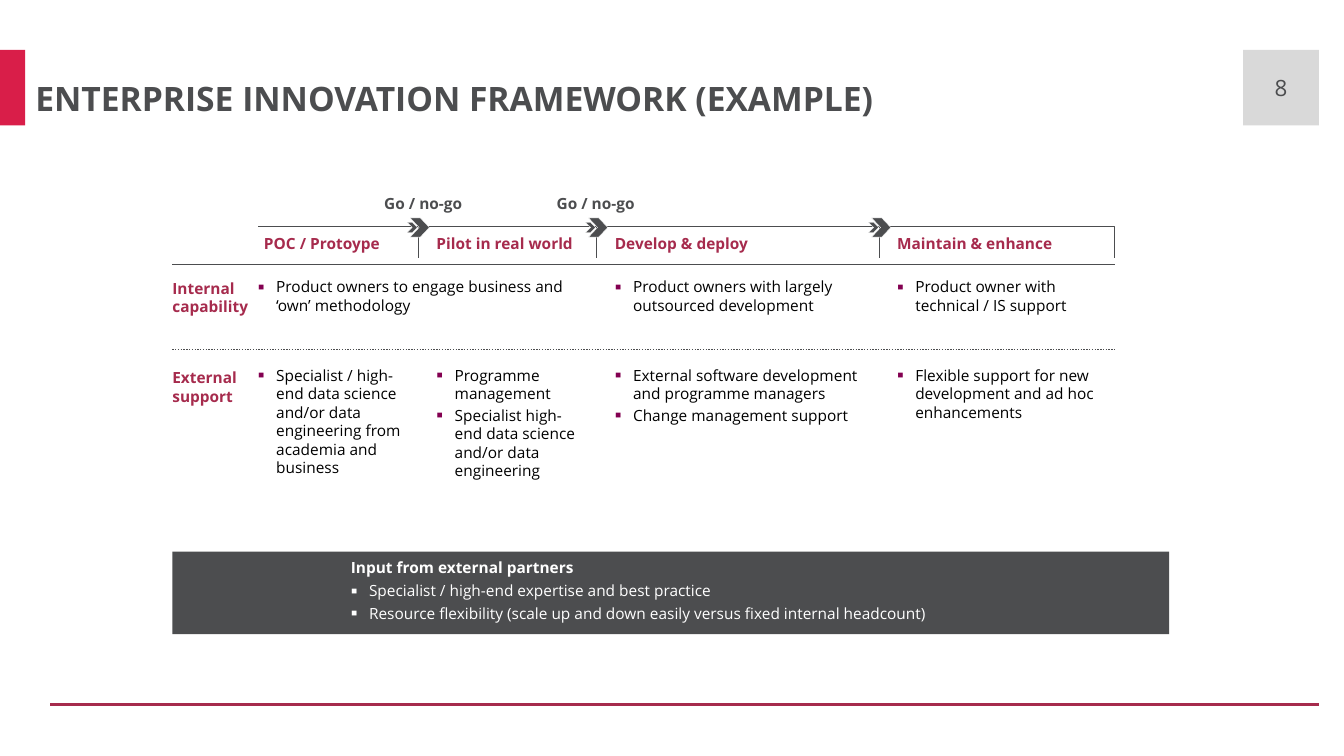
from collections import namedtuple

from lxml.etree import SubElement
from pptx import Presentation
from pptx.dml.color import RGBColor
from pptx.enum.dml import MSO_LINE
from pptx.enum.shapes import MSO_CONNECTOR, MSO_SHAPE
from pptx.enum.text import MSO_ANCHOR as Anchor, MSO_AUTO_SIZE, PP_ALIGN as Align
from pptx.oxml.ns import qn
from pptx.util import Pt

FONT = "Open Sans"
BLACK = RGBColor(0x00, 0x00, 0x00)
WHITE = RGBColor(0xFF, 0xFF, 0xFF)
DARK = RGBColor(0x4C, 0x4D, 0x4F)
GREY = RGBColor(0xD9, 0xD9, 0xD9)
RED = RGBColor(0xD9, 0x1E, 0x49)
CRIMSON = RGBColor(0xA6, 0x2B, 0x4D)
PURPLE = RGBColor(0x83, 0x00, 0x51)

TABLE_LEFT, TABLE_RIGHT = 123.1, 796.3
STAGE_TOP, STAGE_BOTTOM = 162, 184.3
HEADER_TOP, INTERNAL_TOP, EXTERNAL_TOP = 167, 198, 261.4
INDENT = 13

Stage = namedtuple("Stage", "name left right text_left text_width header_left")
POC = Stage("POC / Protoype", 184.3, 298.8, 184.3, 103, 188.6)
PILOT = Stage("Pilot in real world", 304.6, 426.2, 311.8, 103, 311.8)
DEVELOP = Stage("Develop & deploy", 432, 628.4, 439.2, 177.8, 439.2)
MAINTAIN = Stage("Maintain & enhance", 633, 796.3, 640.8, 154.8, 640.8)
STAGES = [POC, PILOT, DEVELOP, MAINTAIN]

INTERNAL = [
    (POC, 221, ["Product owners to engage business and ‘own’ methodology"]),
    (DEVELOP, DEVELOP.text_width, ["Product owners with largely outsourced development"]),
    (MAINTAIN, MAINTAIN.text_width, ["Product owner with technical / IS support"]),
]
EXTERNAL = [
    (POC, ["Specialist / high-end data science and/or data engineering from academia and business"]),
    (PILOT, ["Programme management",
             "Specialist high-end data science and/or data engineering"]),
    (DEVELOP, ["External software development and programme managers",
               "Change management support"]),
    (MAINTAIN, ["Flexible support for new development and ad hoc enhancements"]),
]
PARTNER_INPUT = [
    "Specialist / high-end expertise and best practice",
    "Resource flexibility (scale up and down easily versus fixed internal headcount)",
]


def set_font(para, color, size=11, bold=False):
    font = para.font
    font.name, font.size, font.bold = FONT, Pt(size), bold
    font.color.rgb = color


def add_bullet(para, color):
    props = para._p.get_or_add_pPr()
    props.set("marL", str(Pt(INDENT)))
    props.set("indent", str(-Pt(INDENT)))
    bullet_color = SubElement(props, qn("a:buClr"))
    SubElement(bullet_color, qn("a:srgbClr"), val=str(color))
    SubElement(props, qn("a:buSzPct"), val="125000")
    SubElement(props, qn("a:buFont"), typeface="Arial")
    SubElement(props, qn("a:buChar"), char="▪")


def add_shape(page, kind, left, top, width, height, fill):
    shape = page.shapes.add_shape(kind, Pt(left), Pt(top), Pt(width), Pt(height))
    shape.shadow.inherit = False
    shape.fill.solid()
    shape.fill.fore_color.rgb = fill
    shape.line.fill.background()
    return shape


def add_rule(page, left, right, y, color, weight):
    rule = page.shapes.add_connector(MSO_CONNECTOR.STRAIGHT, Pt(left), Pt(y), Pt(right), Pt(y))
    rule.line.color.rgb = color
    rule.line.width = Pt(weight)
    SubElement(rule._element.spPr, qn("a:effectLst"))
    return rule


def add_text_box(page, left, top, width, height, anchor=Anchor.TOP):
    box = page.shapes.add_textbox(Pt(left), Pt(top), Pt(width), Pt(height))
    frame = box.text_frame
    frame.word_wrap = True
    frame.vertical_anchor = anchor
    frame.margin_left = frame.margin_top = frame.margin_right = frame.margin_bottom = 0
    return frame


def add_label(page, text, left, top, width, height, color, anchor=Anchor.MIDDLE, align=Align.LEFT):
    frame = add_text_box(page, left, top, width, height, anchor)
    para = frame.paragraphs[0]
    para.text, para.alignment = text, align
    set_font(para, color, bold=True)
    return frame


def add_bullet_list(page, items, left, top, width, height):
    frame = add_text_box(page, left, top, width, height)
    for index, item in enumerate(items):
        para = frame.add_paragraph() if index else frame.paragraphs[0]
        para.text = item
        para.space_before = Pt(2 if index else 0)
        set_font(para, BLACK)
        add_bullet(para, PURPLE)


def add_stage(page, stage):
    """Draw the bracket over a stage and its heading."""
    builder = page.shapes.build_freeform(Pt(stage.left), Pt(STAGE_TOP))
    corner, end = (Pt(stage.right), Pt(STAGE_TOP)), (Pt(stage.right), Pt(STAGE_BOTTOM))
    builder.add_line_segments([corner, end], close=False)
    bracket = builder.convert_to_shape()
    bracket.shadow.inherit = False
    bracket.fill.background()
    bracket.line.color.rgb = DARK
    bracket.line.width = Pt(0.75)
    header = add_label(page, stage.name, stage.header_left, HEADER_TOP,
                       max(stage.text_width, 93.6), 15.1, CRIMSON, Anchor.BOTTOM)
    header.margin_bottom = Pt(1.4)


def add_gate(page, x):
    """Draw the double chevron where a stage ends."""
    for offset, size, notch in [(-7.9, 7.2, 0.5), (-5.8, 13.7, 0.47)]:
        chevron = add_shape(page, MSO_SHAPE.CHEVRON, x + offset,
                            STAGE_TOP + 0.5 - size / 2, size, size, DARK)
        chevron.adjustments[0] = notch
        chevron.line.color.rgb = WHITE
        chevron.line.width = Pt(0.25)


def add_title(page, text):
    title = page.shapes.title
    title.left, title.top, title.width, title.height = Pt(18), Pt(54), Pt(869), Pt(36)
    frame = title.text_frame
    frame.auto_size = MSO_AUTO_SIZE.NONE
    frame.vertical_anchor = Anchor.MIDDLE
    para = frame.paragraphs[0]
    para.text, para.alignment, para.line_spacing = text, Align.LEFT, 0.9
    set_font(para, DARK, 24, bold=True)


def add_page_frame(page):
    add_shape(page, MSO_SHAPE.RECTANGLE, 0, 35.6, 18, 54, RED)
    number_box = add_shape(page, MSO_SHAPE.RECTANGLE, 888, 35.6, 54, 54, GREY)
    para = number_box.text_frame.paragraphs[0]
    para.text, para.alignment = "8", Align.CENTER
    set_font(para, DARK, 16)
    add_rule(page, 36, 942, 503.3, CRIMSON, 1.75)


def add_partner_panel(page):
    add_shape(page, MSO_SHAPE.RECTANGLE, TABLE_LEFT, 394, 712, 59, DARK)
    frame = add_label(page, "Input from external partners", 250.6, 398.9, 440, 46,
                      WHITE, Anchor.TOP)
    frame.paragraphs[0].space_after = Pt(3)
    for item in PARTNER_INPUT:
        para = frame.add_paragraph()
        para.text, para.space_after = item, Pt(3)
        set_font(para, WHITE)
        add_bullet(para, WHITE)


def main():
    deck = Presentation()
    deck.slide_width, deck.slide_height = Pt(960), Pt(540)
    page = deck.slides.add_slide(deck.slide_layouts[5])

    add_page_frame(page)
    add_title(page, "ENTERPRISE INNOVATION FRAMEWORK (EXAMPLE)")

    add_rule(page, TABLE_LEFT, TABLE_RIGHT, 188.6, DARK, 0.5)
    divider = add_rule(page, TABLE_LEFT, TABLE_RIGHT, 249.8, DARK, 1)
    divider.line.dash_style = MSO_LINE.ROUND_DOT

    for stage in STAGES:
        add_stage(page, stage)
    for stage in STAGES[:-1]:
        add_gate(page, stage.right)
    for left in (266.4, 389.5):
        add_label(page, "Go / no-go", left, 139, 72, 13.5, DARK, Anchor.TOP, Align.CENTER)

    add_label(page, "Internal capability", TABLE_LEFT, INTERNAL_TOP, 57, 29, CRIMSON)
    for stage, width, items in INTERNAL:
        add_bullet_list(page, items, stage.text_left, INTERNAL_TOP, width, 26.6)
    add_label(page, "External support", TABLE_LEFT, EXTERNAL_TOP, 57, 30, CRIMSON)
    for stage, items in EXTERNAL:
        add_bullet_list(page, items, stage.text_left, EXTERNAL_TOP, stage.text_width, 80)

    add_partner_panel(page)
    deck.save("out.pptx")


if __name__ == "__main__":
    main()
